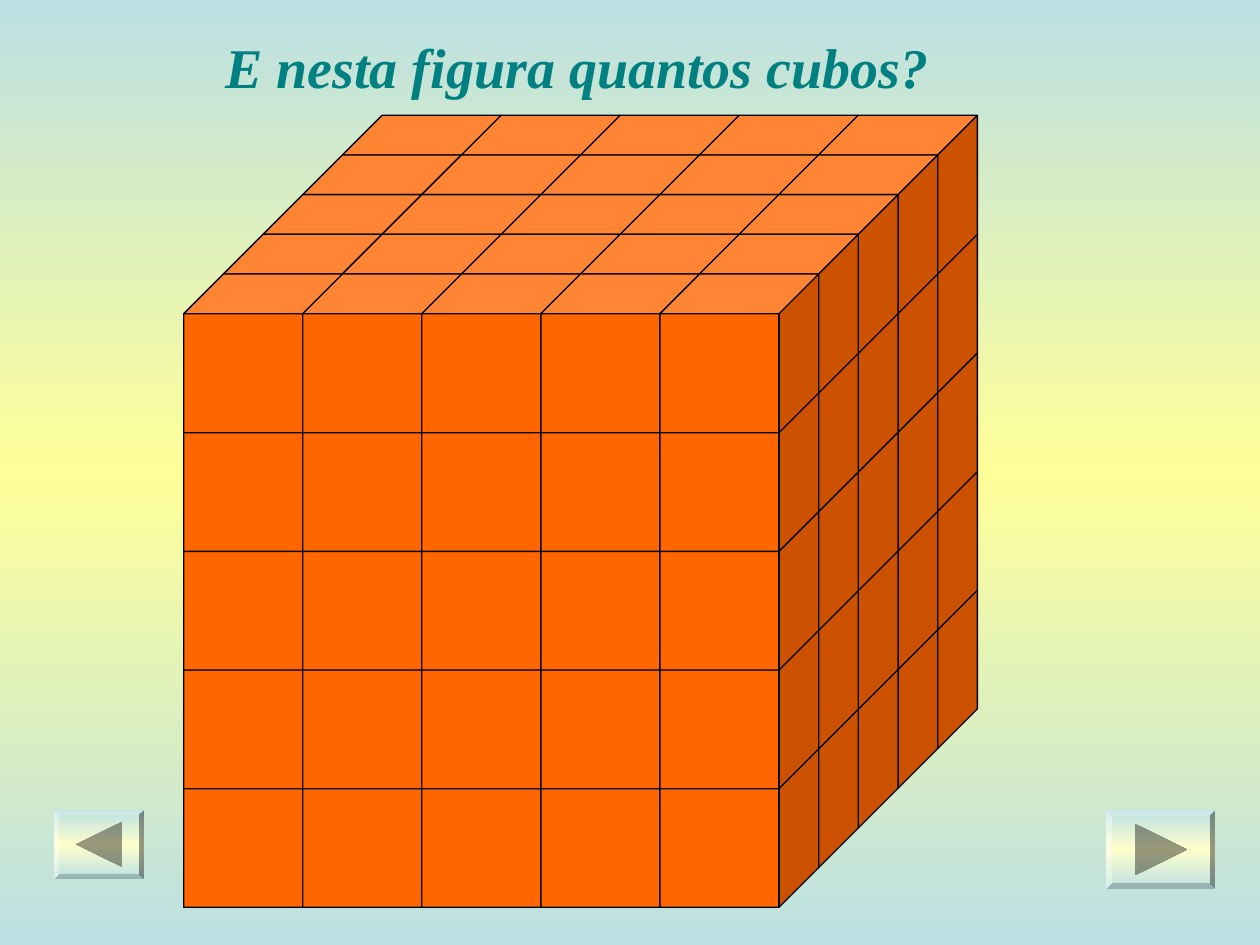
from dataclasses import dataclass

import lxml.etree
import pptx
import pptx.dml.color
import pptx.dml.fill
import pptx.enum.shapes
import pptx.enum.text
import pptx.oxml.ns
import pptx.shapes.base
import pptx.util

Pt = pptx.util.Pt
SHAPE = pptx.enum.shapes.MSO_SHAPE
qn = pptx.oxml.ns.qn

COLORS = {
    "sky": "BBE0E3",
    "sun": "FFFF99",
    "cream": "FFFFCC",
    "cube": "FF6600",
    "edge": "000000",
    "title": "008080",
    "arrow_end": "808E82",
    "arrow_middle": "99997A",
}

# Large cube: small cubes per edge, and the offsets between neighbours
COUNT = 5
CUBE_SIZE = 90.7
COLUMN_STEP = 68.03
LAYER_STEP = 67.8
DEPTH_STEP = 22.68
FRONT_LEFT, FRONT_TOP = 105, 427.8  # bottom front left cube


@dataclass
class Button:
    left: float
    top: float
    width: float
    height: float
    arrow: list[tuple[float, float]]


BUTTONS = [
    Button(632, 463, 62.5, 45, [(648.7, 470.7), (678.2, 485.5), (648.7, 500.3)]),
    Button(31, 463, 51.2, 39.4, [(43.6, 482.5), (69.7, 469.5), (69.7, 495.5)]),
]


def color(name: str) -> pptx.dml.color.RGBColor:
    return pptx.dml.color.RGBColor.from_string(COLORS[name])


def paint_bands(fill: pptx.dml.fill.FillFormat, element, end: str, middle: str) -> None:
    """Fill with a vertical gradient: end, middle, end."""
    fill.gradient()
    fill.gradient_angle = 270
    stops = element.find(".//" + qn("a:gsLst"))
    for stop in list(stops):
        stops.remove(stop)
    for position, name in ((0, end), (50, middle), (100, end)):
        stop = lxml.etree.SubElement(stops, qn("a:gs"), pos=str(position * 1000))
        lxml.etree.SubElement(stop, qn("a:srgbClr"), val=COLORS[name])


def draw_cube(group, column: int, layer: int, depth: int) -> None:
    left = FRONT_LEFT + column * COLUMN_STEP + depth * DEPTH_STEP
    top = FRONT_TOP - layer * LAYER_STEP - depth * DEPTH_STEP
    cube = group.shapes.add_shape(
        SHAPE.CUBE, Pt(left), Pt(top), Pt(CUBE_SIZE), Pt(CUBE_SIZE))
    cube.adjustments[0] = 0.25
    cube.shadow.inherit = False
    cube.fill.solid()
    cube.fill.fore_color.rgb = color("cube")
    cube.line.color.rgb = color("edge")
    cube.line.width = Pt(0.75)


def draw_large_cube(page) -> None:
    """Stack the outer cubes from bottom to top, back to front, left to right."""
    group = page.shapes.add_group_shape()
    last = COUNT - 1
    for layer in range(COUNT):
        for depth in reversed(range(COUNT)):
            # Top layer and front row are complete, the rest is the right side
            first = 0 if layer == last or depth == 0 else last
            for column in range(first, COUNT):
                draw_cube(group, column, layer, depth)


def finish_button_part(shape: pptx.shapes.base.BaseShape, end: str, middle: str) -> None:
    shape.shadow.inherit = False
    shape.line.fill.background()
    paint_bands(shape.fill, shape._element, end, middle)


def draw_button(page, button: Button) -> None:
    plate = page.shapes.add_shape(
        SHAPE.BEVEL, Pt(button.left), Pt(button.top), Pt(button.width), Pt(button.height))
    plate.adjustments[0] = 0.07
    finish_button_part(plate, "sky", "cream")

    points = [(Pt(x), Pt(y)) for x, y in button.arrow]
    builder = page.shapes.build_freeform(*points[0])
    builder.add_line_segments(points[1:], close=True)
    finish_button_part(builder.convert_to_shape(), "arrow_end", "arrow_middle")


def draw_title(page) -> None:
    box = page.shapes.add_textbox(Pt(121.7), Pt(15), Pt(504.7), Pt(46))
    box.text_frame.word_wrap = True
    box.text_frame.auto_size = pptx.enum.text.MSO_AUTO_SIZE.NONE
    para = box.text_frame.paragraphs[0]
    para.text = "E nesta figura quantos cubos?"
    para.space_before = Pt(6)
    para.font.name = "Times New Roman"
    para.font.size = Pt(32)
    para.font.bold = True
    para.font.italic = True
    para.font.color.rgb = color("title")


def main() -> None:
    deck = pptx.Presentation()
    deck.slide_width, deck.slide_height = Pt(720), Pt(540)
    page = deck.slides.add_slide(deck.slide_layouts[6])

    # Background
    paint_bands(page.background.fill, page._element, "sky", "sun")

    # Cubes, question and navigation buttons
    draw_large_cube(page)
    draw_title(page)
    for button in BUTTONS:
        draw_button(page, button)

    deck.save("out.pptx")


if __name__ == "__main__":
    main()
